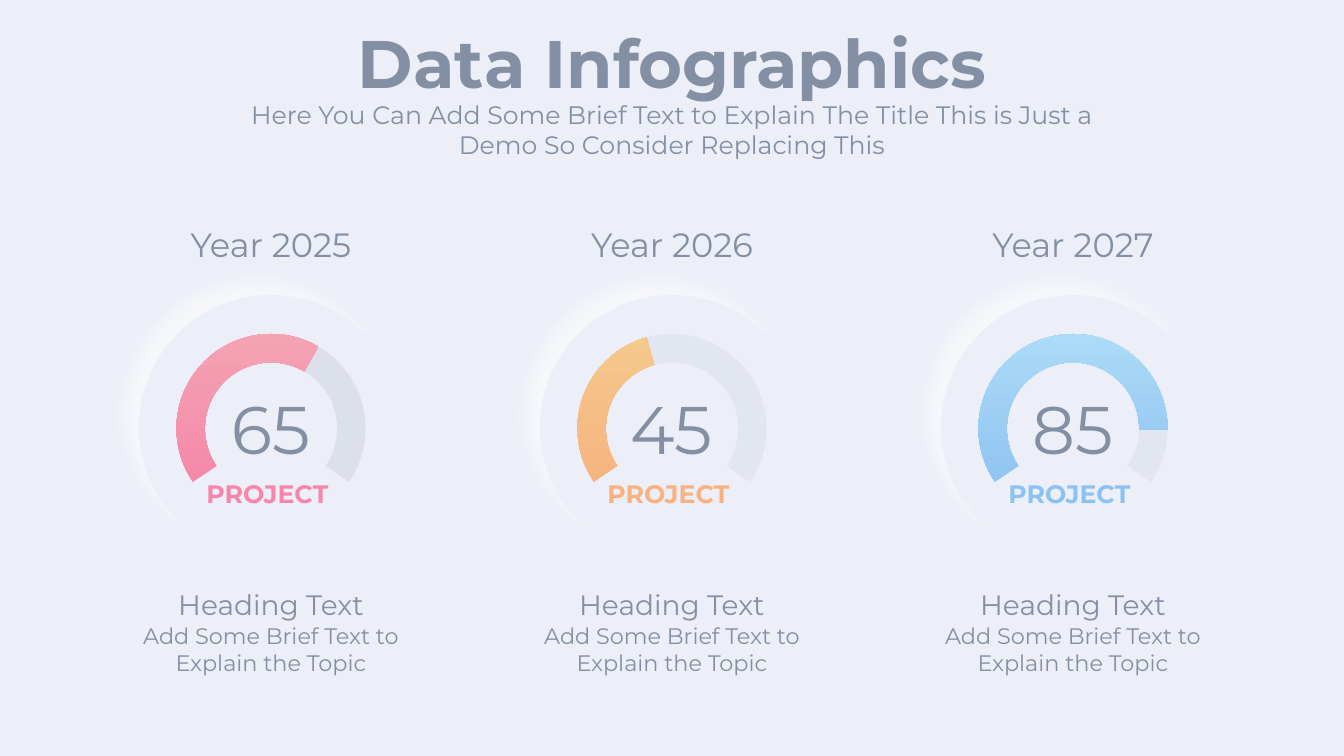
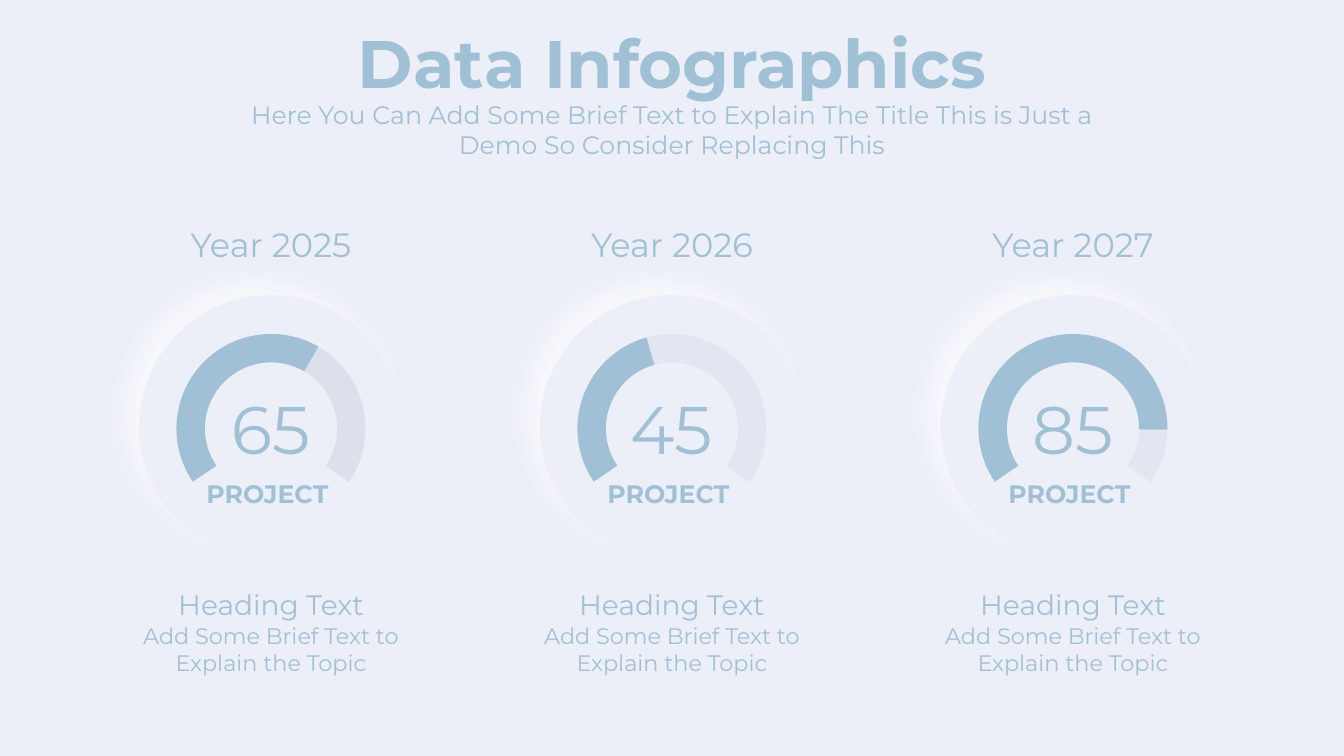
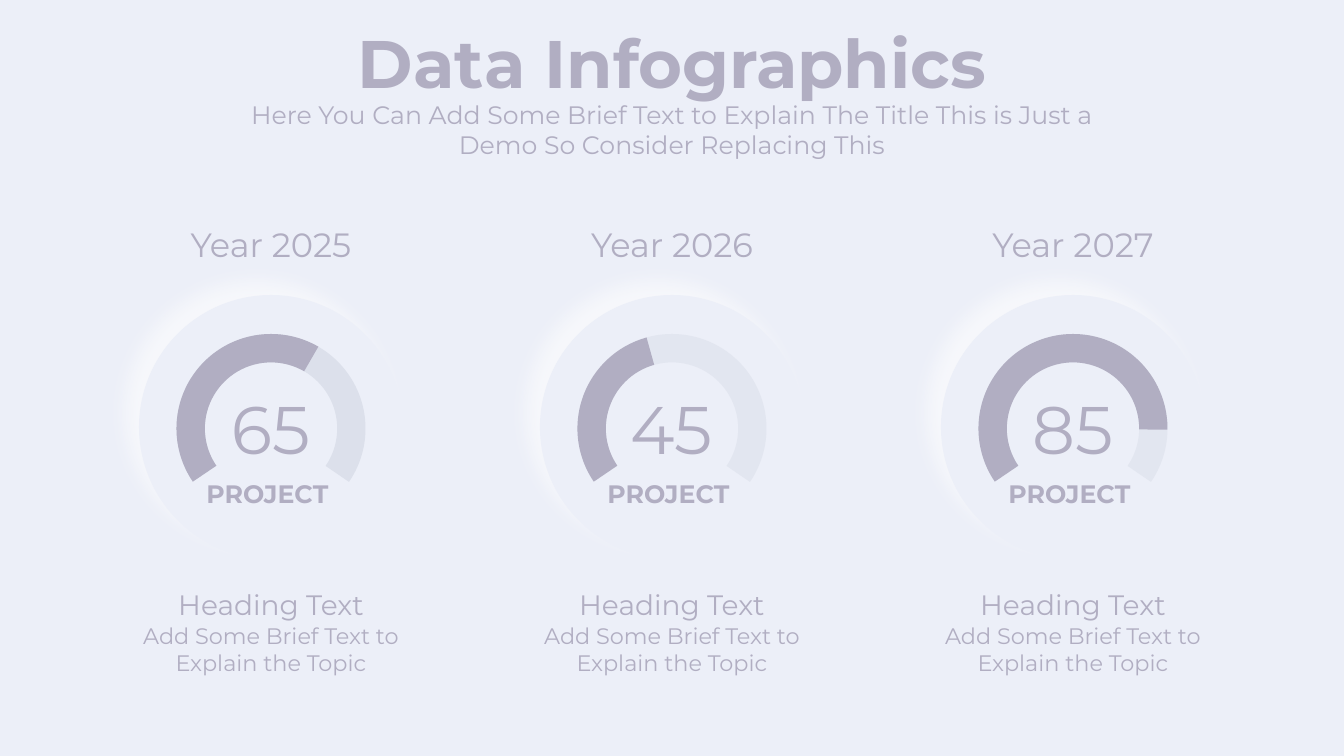
from collections import namedtuple

from pptx import Presentation
from pptx import util as u
from pptx.dml.color import RGBColor
from pptx.enum import shapes, text
from pptx.oxml import parse_xml
from pptx.oxml.ns import nsdecls, qn

SLIDE_W, SLIDE_H = 1344, 756
EMU_PER_PX = 12192000 / SLIDE_W
FONT = "Montserrat"

COLOURS = {
    "back": "ECEFF8", "track": "DCE0EB", "glow": "FFFFFF",
    "slate": "838FA3", "blue": "A0C1D5", "mauve": "B1AEC2",
    "pink": "FF598A", "pink_light": "FF8A9C",
    "orange": "FF974F", "orange_light": "FEBD61",
    "sky": "64AEF2", "sky_light": "95D7FA",
}

Box = namedtuple("Box", "left top width height")
Gauge = namedtuple("Gauge", "year value arc_end track_opacity gradient")

# Arc angles are degrees, measured before the quarter turn of the shape
ARC_START, TRACK_END = 235.81, 124.4
ARC_THICKNESS = 0.15
GAUGES = [
    Gauge("Year 2025", "65", 30.04, 100, ("pink", "pink_light")),
    Gauge("Year 2026", "45", 344.4, 60, ("orange", "orange_light")),
    Gauge("Year 2027", "85", 90.75, 60, ("sky", "sky_light")),
]
COLUMN = Box(117, 219, 308, 463)
COLUMN_PITCH = 401


def px(length):
    return u.Emu(round(length * EMU_PER_PX))


def rgb(name):
    return RGBColor.from_string(COLOURS[name])


def centred(box, top, width, height):
    """A box centred across its parent, top counted from the parent's top."""
    return Box(box.left + (box.width - width) / 2, box.top + top, width, height)


def set_opacity(element, percent):
    for colour in element.iter(qn("a:srgbClr")):
        colour.append(parse_xml(f'<a:alpha {nsdecls("a")} val="{percent * 1000}"/>'))


def paint(fill, element, paint_names, angle=0, opacity=100):
    """Solid for one colour name, a translucent gradient for two."""
    if len(paint_names) == 1:
        fill.solid()
        fill.fore_color.rgb = rgb(paint_names[0])
    else:
        fill.gradient()
        fill.gradient_angle = angle
        for stop, name in zip(fill.gradient_stops, paint_names):
            stop.color.rgb = rgb(name)
        opacity = 70
    if opacity < 100:
        set_opacity(element, opacity)


def add_label(parent, box, words, size, paint_names, bold=False):
    label = parent.add_textbox(*map(px, box))
    frame = label.text_frame
    frame.word_wrap = True
    frame.auto_size = text.MSO_AUTO_SIZE.SHAPE_TO_FIT_TEXT
    line = frame.paragraphs[0]
    line.text = words
    line.alignment = text.PP_ALIGN.CENTER
    font = line.font
    font.name, font.size, font.bold = FONT, u.Pt(size), bold
    paint(font.fill, label.element, paint_names, angle=180)


def add_plain_shape(parent, kind, box, paint_names, opacity=100):
    shape = parent.add_shape(kind, *map(px, box))
    shape.shadow.inherit = False
    shape.line.fill.background()
    paint(shape.fill, shape.element.spPr, paint_names, opacity=opacity)
    return shape


def add_disc(parent, box):
    disc = add_plain_shape(parent, shapes.MSO_SHAPE.OVAL, box, ["back"])
    glow = parse_xml(
        f'<a:outerShdw {nsdecls("a")} blurRad="{u.Pt(15)}" dist="{u.Pt(15)}" '
        f'dir="{225 * 60000}" algn="ctr" rotWithShape="0">'
        f'<a:srgbClr val="{COLOURS["glow"]}"/></a:outerShdw>')
    set_opacity(glow, 60)
    disc.element.spPr.find(qn("a:effectLst")).append(glow)


def add_arc(parent, box, end, paint_names, opacity=100):
    arc = add_plain_shape(parent, shapes.MSO_SHAPE.BLOCK_ARC, box, paint_names, opacity)
    arc.rotation = 270
    # Adjustments count in 100000ths, angles in 60000ths of a degree
    for index, value in enumerate((ARC_START * 0.6, end * 0.6, ARC_THICKNESS)):
        arc.adjustments[index] = value


def add_dial(slide, column, gauge, ink, accent):
    dial = slide.shapes.add_group_shape().shapes
    ring = centred(column, 115, 189, 189)
    add_disc(dial, centred(column, 76, 264, 264))
    add_label(dial, centred(column, 163, 110, 92), gauge.value, 48, [ink])
    add_arc(dial, ring, TRACK_END, ["track"], gauge.track_opacity)
    add_arc(dial, ring, gauge.arc_end, accent)
    add_label(dial, centred(column, 254, 235, 40), "PROJECT ", 18, accent, bold=True)


def add_column(slide, column, gauge, ink, accent):
    add_label(slide.shapes, centred(column, 0, 235, 50), gauge.year, 24, [ink])
    add_dial(slide, column, gauge, ink, accent)
    add_label(slide.shapes, centred(column, 364, 264, 44), "Heading Text", 20, [ink])
    add_label(slide.shapes, centred(column, 398, 308, 65),
              "Add Some Brief Text to Explain the Topic", 16, [ink])


def add_header(slide, page, ink):
    add_label(slide.shapes, centred(page, 16, 784, 92), "Data Infographics", 48, [ink], bold=True)
    add_label(slide.shapes, centred(page, 94, 880, 72),
              "Here You Can Add Some Brief Text to Explain The Title "
              "This is Just a Demo So Consider Replacing This", 18, [ink])


def add_gauge_slide(deck, ink, colourful):
    slide = deck.slides.add_slide(deck.slide_layouts[6])
    slide.background.fill.solid()
    slide.background.fill.fore_color.rgb = rgb("back")
    add_header(slide, Box(0, 0, SLIDE_W, SLIDE_H), ink)
    for index, gauge in enumerate(GAUGES):
        column = COLUMN._replace(left=COLUMN.left + index * COLUMN_PITCH)
        add_column(slide, column, gauge, ink, gauge.gradient if colourful else [ink])


def main():
    deck = Presentation()
    deck.slide_width, deck.slide_height = px(SLIDE_W), px(SLIDE_H)
    for ink, colourful in (("slate", True), ("blue", False), ("mauve", False)):
        add_gauge_slide(deck, ink, colourful)
    deck.save("out.pptx")


if __name__ == "__main__":
    main()
